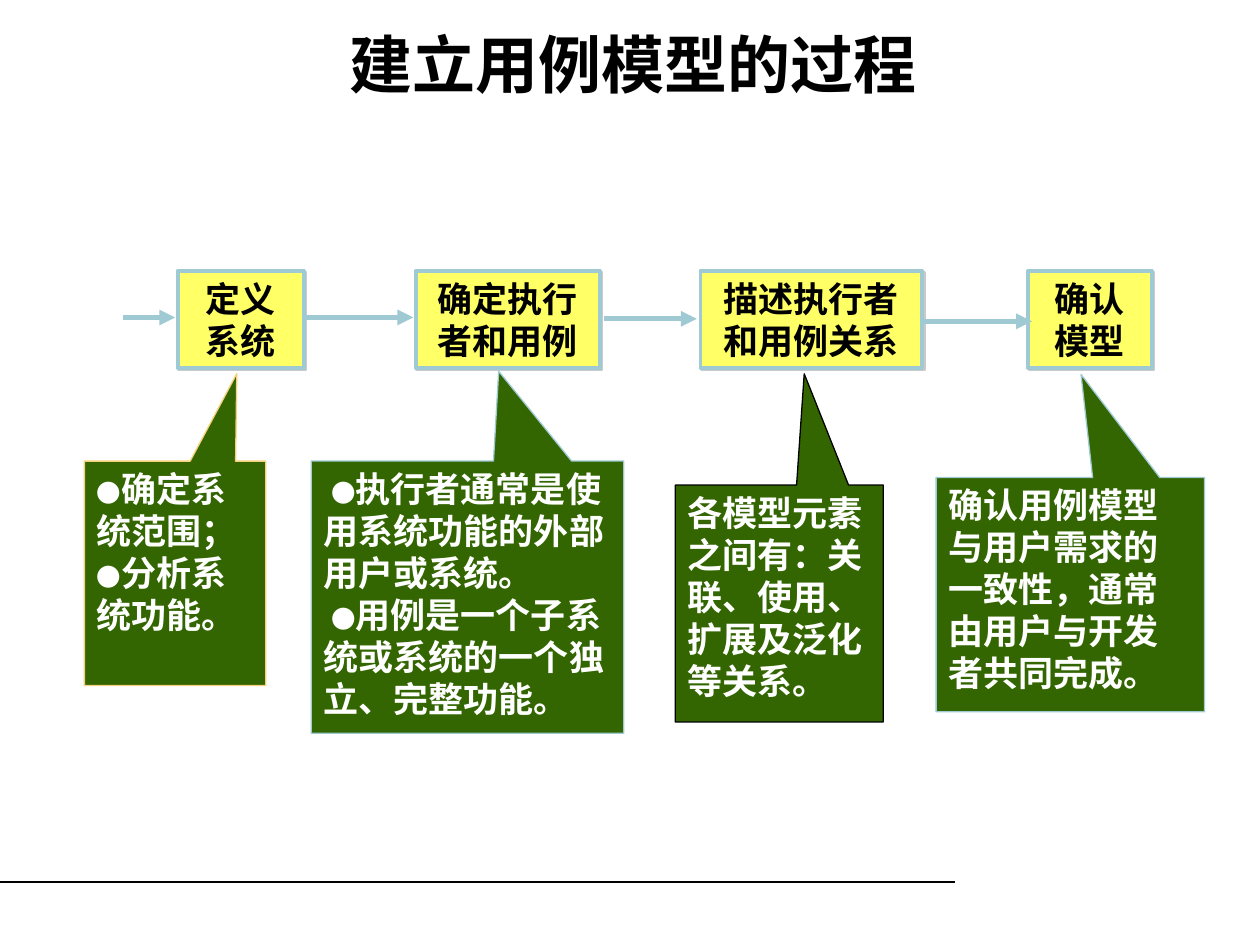
"""Build a slide showing the four steps of use case modelling."""
from lxml import etree
from pptx import Presentation
from pptx.dml.color import RGBColor
from pptx.enum.shapes import MSO_CONNECTOR, MSO_SHAPE
from pptx.enum.text import MSO_ANCHOR, PP_ALIGN
from pptx.oxml import parse_xml
from pptx.oxml.ns import nsdecls, qn
from pptx.util import Inches, Pt

STRAIGHT = MSO_CONNECTOR.STRAIGHT
RECTANGLE = MSO_SHAPE.RECTANGLE
CALLOUT = MSO_SHAPE.RECTANGULAR_CALLOUT
TOP, MIDDLE = MSO_ANCHOR.TOP, MSO_ANCHOR.MIDDLE
LEFT, CENTER = PP_ALIGN.LEFT, PP_ALIGN.CENTER

BLACK = RGBColor(0x00, 0x00, 0x00)
WHITE = RGBColor(0xFF, 0xFF, 0xFF)
YELLOW = RGBColor(0xFF, 0xFF, 0x66)
GREEN = RGBColor(0x33, 0x66, 0x00)
BLUE = RGBColor(0x9F, 0xCA, 0xD3)
GOLD = RGBColor(0xF4, 0xD1, 0x7A)

SHADOW = (
    f'<a:effectLst {nsdecls("a")}><a:outerShdw dist="17780" dir="2700000" '
    'algn="ctr" rotWithShape="0"><a:srgbClr val="CACACA"/></a:outerShdw></a:effectLst>'
)


def add_run(paragraph, text, size, color, font_name="Times New Roman"):
    run = paragraph.add_run()
    run.text = text
    run.font.size = Pt(size)
    run.font.name = font_name
    run.font.bold = True
    run.font.color.rgb = color


def add_line(start_x, end_x, y, color, width):
    line = slide.shapes.add_connector(
        STRAIGHT, Inches(start_x), Inches(y), Inches(end_x), Inches(y)
    )
    line.line.color.rgb = color
    line.line.width = Pt(width)
    etree.SubElement(line._element.spPr, qn("a:effectLst"))
    return line


presentation = Presentation()
presentation.slide_width = Inches(10)
presentation.slide_height = Inches(7.5)
slide = presentation.slides.add_slide(presentation.slide_layouts[6])

add_line(0, 7.58, 7, BLACK, 0.75)

title = slide.shapes.add_textbox(Inches(0.5), Inches(0.25), Inches(9.05), Inches(0.5))
title.text_frame.word_wrap = True
title.text_frame.vertical_anchor = MIDDLE
title.text_frame.paragraphs[0].alignment = CENTER
add_run(title.text_frame.paragraphs[0], "建立用例模型的过程", 36, BLACK, "Arial")

steps = [
    ("定义系统", 1.41, 1),
    ("确定执行者和用例", 3.3, 1.46),
    ("描述执行者和用例关系", 5.56, 1.76),
    ("确认模型", 8.16, 0.98),
]
for text, left, width in steps:
    box = slide.shapes.add_shape(
        RECTANGLE, Inches(left), Inches(2.15), Inches(width), Inches(0.77)
    )
    box.fill.solid()
    box.fill.fore_color.rgb = YELLOW
    box.line.color.rgb = BLUE
    box.line.width = Pt(2.25)
    box._element.spPr.append(parse_xml(SHADOW))
    box.text_frame.word_wrap = True
    box.text_frame.vertical_anchor = TOP
    box.text_frame.paragraphs[0].alignment = CENTER
    add_run(box.text_frame.paragraphs[0], text, 20, BLACK)

arrows = [(0.98, 1.39, 2.52), (2.41, 3.28, 2.52), (4.79, 5.53, 2.53), (7.33, 8.19, 2.55)]
for start_x, end_x, y in arrows:
    arrow = add_line(start_x, end_x, y, BLUE, 3)
    etree.SubElement(arrow.line._get_or_add_ln(), qn("a:tailEnd"), type="triangle")

callouts = [
    ((0.67, 3.66, 1.44, 1.78), (0.34, -0.89), GOLD, 0,
     [("●", "确定系统范围；"), ("●", "分析系统功能。")]),
    ((2.47, 3.66, 2.48, 2.16), (0.1, -0.83), BLUE, 0.06,
     [("●", "执行者通常是使用系统功能的外部用户或系统。"),
      ("●", "用例是一个子系统或系统的一个独立、完整功能。")]),
    ((5.36, 3.85, 1.65, 1.88), (0.12, -0.97), BLACK, 0,
     [("", "各模型元素之间有：关联、使用、扩展及泛化等关系。")]),
    ((7.43, 3.79, 2.13, 1.86), (0.04, -0.94), BLUE, 0,
     [("", "确认用例模型与用户需求的一致性，通常由用户与开发者共同完成。")]),
]
for bounds, pointer, line_color, indent, notes in callouts:
    callout = slide.shapes.add_shape(CALLOUT, *[Inches(value) for value in bounds])
    callout.adjustments[0], callout.adjustments[1] = pointer
    callout.shadow.inherit = False
    callout.fill.solid()
    callout.fill.fore_color.rgb = GREEN
    callout.line.color.rgb = line_color
    callout.line.width = Pt(0.75)
    frame = callout.text_frame
    frame.word_wrap = True
    frame.vertical_anchor = TOP
    for index, (bullet, text) in enumerate(notes):
        paragraph = frame.add_paragraph() if index else frame.paragraphs[0]
        paragraph.alignment = LEFT
        paragraph._p.get_or_add_pPr().set("indent", str(Inches(indent)))
        if bullet:
            add_run(paragraph, bullet, 14, WHITE)
        add_run(paragraph, text, 20, WHITE)

presentation.save("out.pptx")
